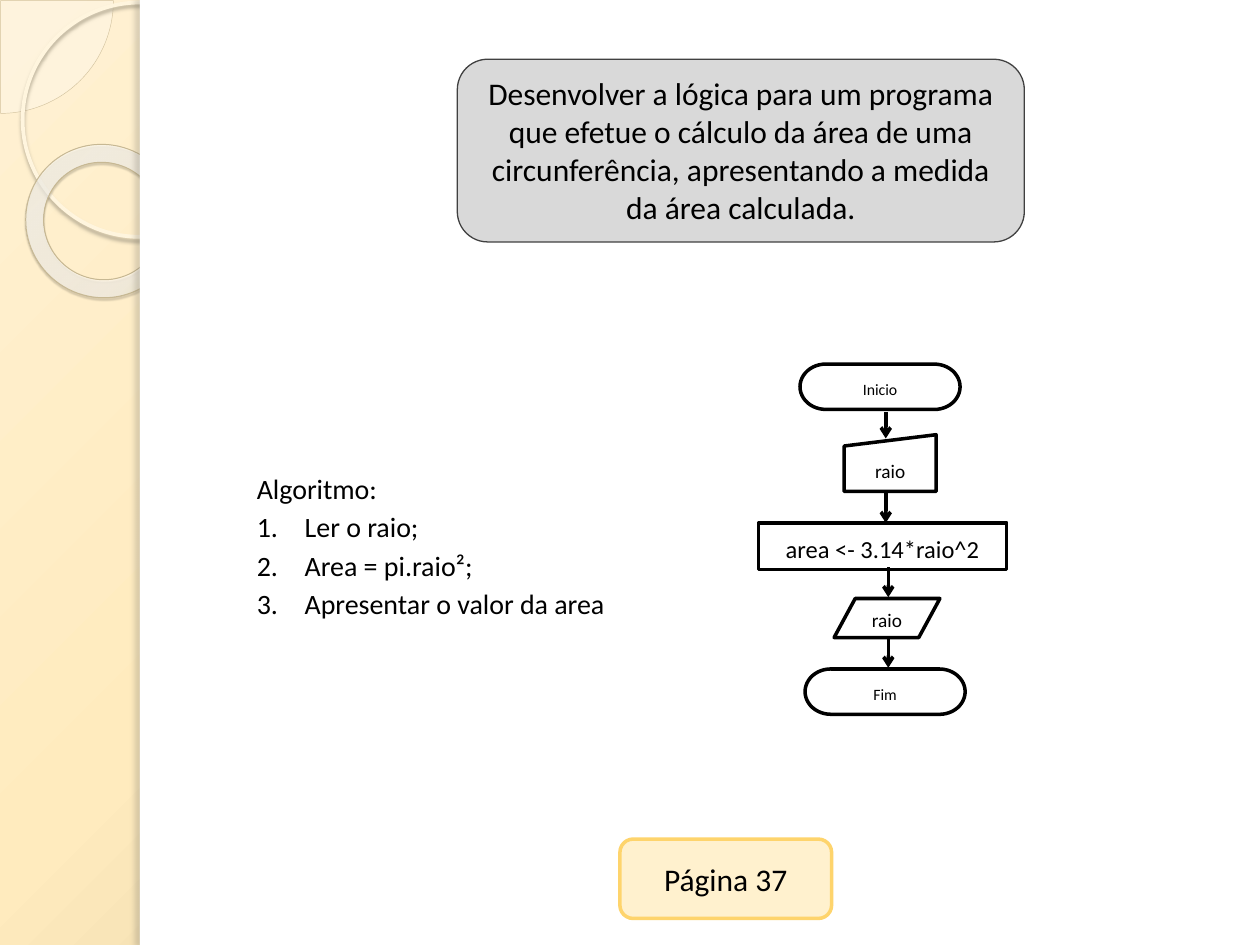
from lxml.etree import SubElement
from pptx import Presentation
from pptx.dml.color import RGBColor
from pptx.enum.shapes import MSO_CONNECTOR, MSO_SHAPE
from pptx.enum.text import MSO_ANCHOR, PP_ALIGN
from pptx.oxml import parse_xml
from pptx.oxml.ns import nsdecls, qn
from pptx.util import Inches, Pt

COLORS = {
    "black": "000000", "white": "FFFFFF", "gray": "D9D9D9", "border": "404040",
    "cream": "FFF1CE", "gold": "FED46C", "pie": "FEFAF4", "pie_line": "D3C39F",
    "ring": "FFF5DE", "ring_shadow": "B0A68F", "donut_line": "C7B893",
    "donut_shadow": "5A5444", "edge_shadow": "736F63",
}
BACKGROUND_STOPS = [(0, "FFF1D3", 100), (40, "FFEBBE", 100), (100, "C9B484", 100)]
DONUT_STOPS = [(0, "FFFCF6", 70), (70, "FFFEFB", 55), (100, "F0D28E", 60)]

STATEMENT = ("Desenvolver a lógica para um programa que efetue o cálculo da área "
             "de uma circunferência, apresentando a medida da área calculada.")
PAGE = "Página 37"
ALGORITHM_TITLE = "Algoritmo:"
ALGORITHM_STEPS = ["Ler o raio;", "Area = pi.raio²;", "Apresentar o valor da area"]
TERMINALS = [
    ("Inicio", (6.35, 2.89, 1.27, 0.36)),
    ("Fim", (6.39, 5.31, 1.27, 0.36)),
]
STEPS = [
    ("raio", MSO_SHAPE.FLOWCHART_MANUAL_INPUT, (6.7, 3.45, 0.73, 0.45), 11),
    ("area <- 3.14*raio^2", MSO_SHAPE.RECTANGLE, (6.02, 4.15, 1.97, 0.37), 14),
    ("raio", MSO_SHAPE.FLOWCHART_DATA, (6.62, 4.75, 0.84, 0.31), 11),
]
ARROWS = [(7.03, 3.27, 3.48), (7.03, 3.91, 4.15), (7.05, 4.5, 4.74), (7.05, 5.06, 5.3)]


def rgb(name):
    return RGBColor.from_string(COLORS[name])


def gradient(stops, focus):
    stop_xml = "".join(
        f'<a:gs pos="{position * 1000}"><a:srgbClr val="{color}">'
        f'<a:alpha val="{alpha * 1000}"/></a:srgbClr></a:gs>'
        for position, color, alpha in stops)
    sides = " ".join(f'{side}="{value * 1000}"' for side, value in zip("ltrb", focus))
    return parse_xml(
        f'<a:gradFill {nsdecls("a")} rotWithShape="1"><a:gsLst>{stop_xml}</a:gsLst>'
        f'<a:path path="circle"><a:fillToRect {sides}/></a:path></a:gradFill>')


def replace_fill(fill_parent, new_fill):
    old_fill = fill_parent.find(qn("a:solidFill"))
    fill_parent.replace(old_fill, new_fill)


def add_shadow(shape, color, alpha, blur, distance, angle):
    effects = shape._element.spPr.find(qn("a:effectLst"))
    shadow = SubElement(effects, qn("a:outerShdw"), blurRad=str(Pt(blur)),
                        dist=str(Pt(distance)), dir=str(angle * 60000),
                        algn="tl", rotWithShape="0")
    tint = SubElement(shadow, qn("a:srgbClr"), val=COLORS[color])
    SubElement(tint, qn("a:alpha"), val=str(alpha * 1000))


def add_shape(slide, kind, box, fill=None, line=None, width=2):
    shape = slide.shapes.add_shape(kind, *map(Inches, box))
    shape.shadow.inherit = False
    if fill:
        shape.fill.solid()
        shape.fill.fore_color.rgb = rgb(fill)
    else:
        shape.fill.background()
    if line:
        shape.line.color.rgb = rgb(line)
        shape.line.width = Pt(width)
    else:
        shape.line.fill.background()
    return shape


def format_paragraph(paragraph, size, spacing=None, after=None, align=PP_ALIGN.CENTER):
    paragraph.alignment = align
    if spacing:
        paragraph.line_spacing = spacing
    if after:
        paragraph.space_after = Pt(after)
    for run in paragraph.runs:
        run.font.name = "Calibri"
        run.font.size = Pt(size)
        run.font.color.rgb = rgb("black")


def write(shape, text, size, anchor=MSO_ANCHOR.MIDDLE, spacing=None, after=None):
    frame = shape.text_frame
    frame.text = text
    frame.word_wrap = True
    frame.vertical_anchor = anchor
    format_paragraph(frame.paragraphs[0], size, spacing, after)


def add_decoration(slide):
    background = slide.background.fill
    background.solid()
    replace_fill(slide._element.cSld.bg.bgPr, gradient(BACKGROUND_STOPS, (-24, -20, 124, 120)))

    pie = add_shape(slide, MSO_SHAPE.PIE, (-0.89, -0.89, 1.79, 1.79), "pie", "pie_line", 0.25)
    pie.adjustments[0] = 0
    pie.adjustments[1] = 54
    pie_color = pie._element.spPr.find(qn("a:solidFill"))[0]
    SubElement(pie_color, qn("a:alpha"), val="33000")

    ring = add_shape(slide, MSO_SHAPE.OVAL, (0.18, 0.02, 1.86, 1.86), None, "ring", 2.15)
    add_shadow(ring, "ring_shadow", 85, 2, 2, 90)

    donut = add_shape(slide, MSO_SHAPE.DONUT, (0.2, 1.15, 1.23, 1.21), "white", "donut_line", 0.58)
    donut.adjustments[0] = 0.118
    donut.rotation = 38.6
    replace_fill(donut._element.spPr, gradient(DONUT_STOPS, (-408, -50, 508, 150)))
    add_shadow(donut, "donut_shadow", 35, 1, 1.2, 75)

    add_shape(slide, MSO_SHAPE.RECTANGLE, (1.11, 0, 8.89, 7.5), "white")
    edge = add_shape(slide, MSO_SHAPE.RECTANGLE, (1.11, 0, 0.08, 7.5), "white")
    add_shadow(edge, "edge_shadow", 25, 3, 3, 180)


def add_algorithm(slide):
    frame = slide.shapes.add_textbox(*map(Inches, (1.94, 3.65, 3.37, 1))).text_frame
    frame.word_wrap = True
    frame.text = "\n".join([ALGORITHM_TITLE, *ALGORITHM_STEPS])
    for index, paragraph in enumerate(frame.paragraphs):
        if index:
            properties = paragraph._p.get_or_add_pPr()
            properties.set("marL", str(Inches(0.38)))
            properties.set("indent", str(Inches(-0.38)))
            SubElement(properties, qn("a:buFont"), typeface="+mj-lt")
            SubElement(properties, qn("a:buAutoNum"), type="arabicPeriod")
        format_paragraph(paragraph, 16, 1.15, align=PP_ALIGN.LEFT)


def add_arrow(slide, x, top, bottom):
    arrow = slide.shapes.add_connector(
        MSO_CONNECTOR.STRAIGHT, Inches(x), Inches(top), Inches(x), Inches(bottom))
    arrow.line.color.rgb = rgb("black")
    arrow.line.width = Pt(2)
    SubElement(arrow.line._get_or_add_ln(), qn("a:tailEnd"), type="arrow")
    SubElement(arrow._element.spPr, qn("a:effectLst"))


def add_flowchart(slide):
    for text, box in TERMINALS:
        terminal = add_shape(slide, MSO_SHAPE.FLOWCHART_TERMINATOR, box, None, "black")
        write(terminal, text, 9, MSO_ANCHOR.TOP, 1.15)
    for text, kind, box, size in STEPS:
        step = add_shape(slide, kind, box, "white", "black")
        write(step, text, size, spacing=1.15, after=10)
    for arrow in ARROWS:
        add_arrow(slide, *arrow)


def main():
    presentation = Presentation()
    presentation.slide_width = Inches(10)
    presentation.slide_height = Inches(7.5)
    slide = presentation.slides.add_slide(presentation.slide_layouts[6])
    add_decoration(slide)
    statement = add_shape(slide, MSO_SHAPE.ROUNDED_RECTANGLE, (3.63, 0.47, 4.5, 1.45),
                          "gray", "border", 0.75)
    write(statement, STATEMENT, 18, MSO_ANCHOR.TOP)
    page = add_shape(slide, MSO_SHAPE.ROUNDED_RECTANGLE, (4.92, 6.66, 1.68, 0.63), "cream", "gold")
    write(page, PAGE, 18)
    add_algorithm(slide)
    add_flowchart(slide)
    presentation.save("out.pptx")


if __name__ == "__main__":
    main()
